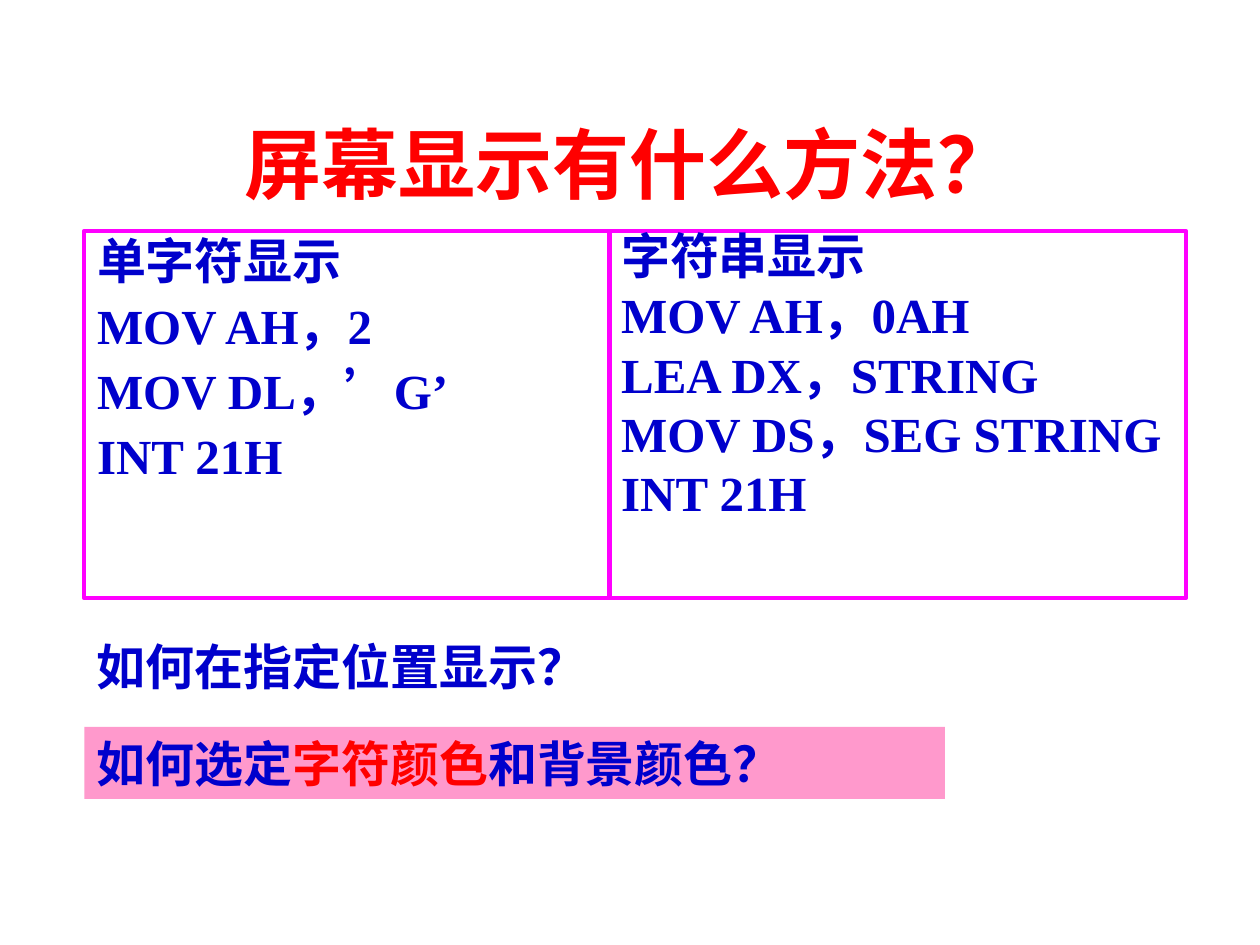
from dataclasses import dataclass

from lxml.etree import SubElement
from pptx import Presentation
from pptx.dml.color import RGBColor
from pptx.enum.text import MSO_ANCHOR, MSO_AUTO_SIZE, PP_ALIGN
from pptx.oxml.ns import qn
from pptx.util import Inches, Pt


@dataclass(frozen=True)
class Theme:
    font: str = "Times New Roman"
    red: RGBColor = RGBColor(0xFF, 0x00, 0x00)
    blue: RGBColor = RGBColor(0x00, 0x00, 0xCC)
    magenta: RGBColor = RGBColor(0xFF, 0x00, 0xFF)
    pink: RGBColor = RGBColor(0xFF, 0x99, 0xCC)
    title_size: Pt = Pt(44)
    text_size: Pt = Pt(28)
    border: Pt = Pt(2.25)


THEME = Theme()


def style(paragraph, size, color):
    font = paragraph.font
    font.name, font.size, font.bold = THEME.font, size, True
    font.color.rgb = color


def place(shape, left, top, width, height):
    shape.left, shape.top = Inches(left), Inches(top)
    shape.width, shape.height = Inches(width), Inches(height)


prs = Presentation()
prs.slide_width, prs.slide_height = Inches(10), Inches(7.5)
slide = prs.slides.add_slide(prs.slide_layouts.get_by_name("Two Content"))
title, single_char, string = slide.placeholders

place(title, 0.75, 0.67, 8.5, 1.25)
title.text_frame.text = "屏幕显示有什么方法？"
title.text_frame.vertical_anchor = MSO_ANCHOR.MIDDLE
heading = title.text_frame.paragraphs[0]
heading.alignment = PP_ALIGN.CENTER
style(heading, THEME.title_size, THEME.red)

# Two adjoining code panels: placeholder, left, width, line spacing, lines
panels = [
    (single_char, 0.67, 4.17, 0.9,
     ["单字符显示", "MOV AH，2", "MOV DL，’G’", "INT 21H"]),
    (string, 4.83, 4.58, 0.8,
     ["字符串显示", "MOV AH，0AH", "LEA DX，STRING", "MOV DS，SEG STRING", "INT 21H"]),
]
for panel, left, width, spacing, lines in panels:
    place(panel, left, 1.83, width, 2.92)
    panel.line.color.rgb = THEME.magenta
    panel.line.width = THEME.border
    panel.text_frame.text = "\n".join(lines)
    panel.text_frame.auto_size = MSO_AUTO_SIZE.NONE
    for line in panel.text_frame.paragraphs:
        line.line_spacing = spacing
        line.space_before = Pt(7)
        style(line, THEME.text_size, THEME.blue)
        properties = line._p.get_or_add_pPr()
        properties.set("marL", str(Inches(0.38)))
        properties.set("indent", str(-Inches(0.38)))
        bullet_off = SubElement(properties, qn("a:buNone"))
        properties.find(qn("a:defRPr")).addprevious(bullet_off)

# Questions: top, width, background, text parts with their colours
questions = [
    (5, 4.17, None, [("如何在指定位置显示？", THEME.blue)]),
    (5.77, 6.83, THEME.pink,
     [("如何选定", THEME.blue), ("字符颜色", THEME.red), ("和背景颜色？", THEME.blue)]),
]
for top, width, background, parts in questions:
    question = slide.shapes.add_textbox(
        Inches(0.67), Inches(top), Inches(width), Inches(0.57))
    if background is not None:
        question.fill.solid()
        question.fill.fore_color.rgb = background
    question.text_frame.word_wrap = True
    question.text_frame.auto_size = MSO_AUTO_SIZE.SHAPE_TO_FIT_TEXT
    sentence = question.text_frame.paragraphs[0]
    sentence.space_before = Pt(17.5)
    style(sentence, THEME.text_size, THEME.blue)
    for words, color in parts:
        run = sentence.add_run()
        run.text = words
        run.font.color.rgb = color

prs.save("out.pptx")
